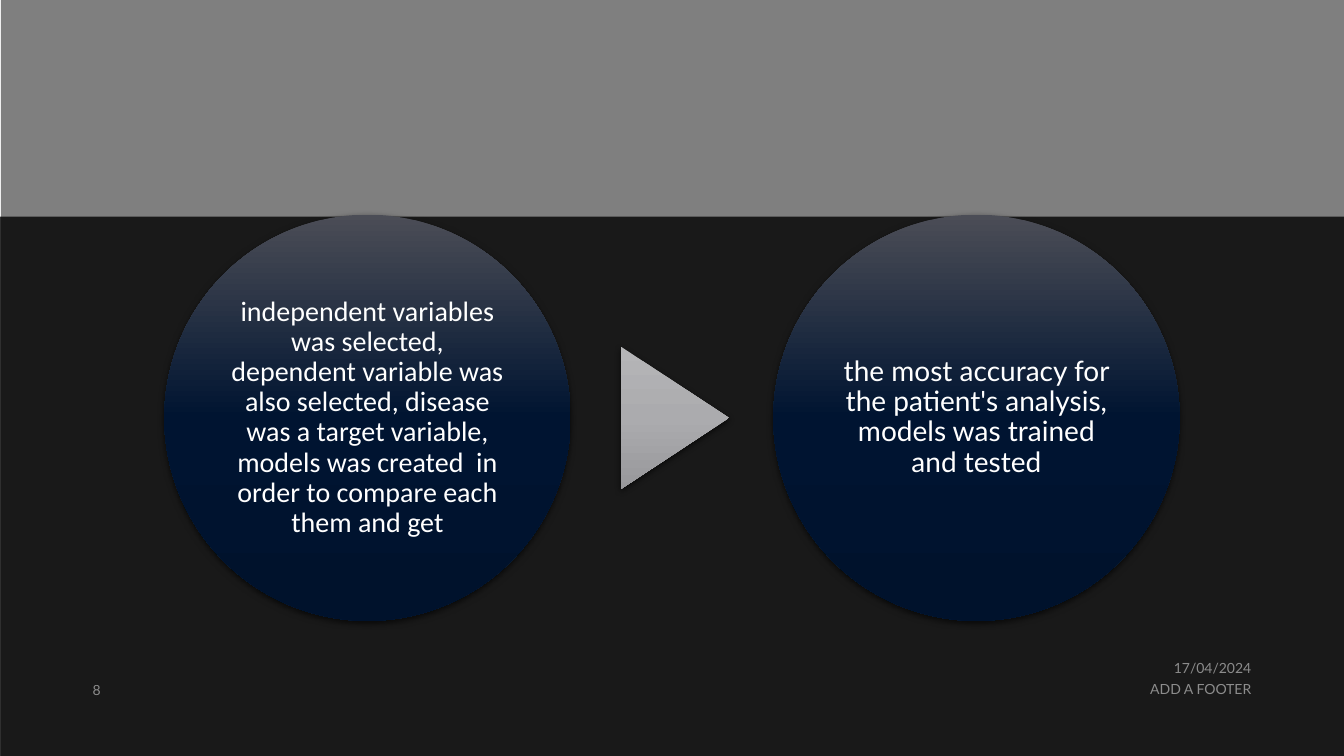
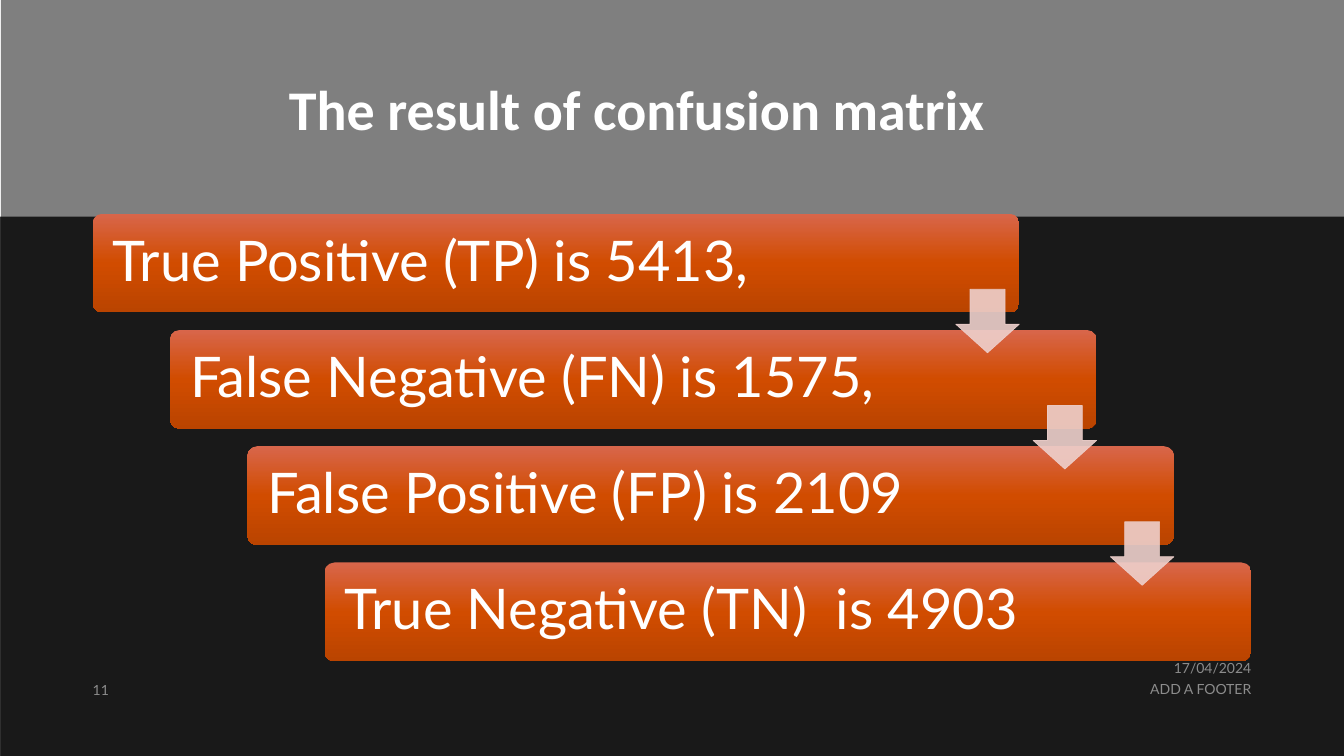
from dataclasses import dataclass

from lxml.etree import SubElement as Sub
from pptx import Presentation
from pptx.dml.color import RGBColor as Rgb
from pptx.enum.shapes import MSO_SHAPE as Kind
from pptx.enum.text import MSO_ANCHOR as Anchor, PP_ALIGN as Align
from pptx.oxml.ns import qn
from pptx.util import Inches, Pt

WIDE, HIGH = 13.33, 7.5
BAND = 2.15
BLACK, WHITE, GREY, PINK = "000000", "FFFFFF", "D9D9D9", "EED0CC"
NAVY = ("4B4D56", "001431", "00122C")
STEEL = ("B5B5B7", "ABABAE", "98989B")
RUST = ("D8664B", "D14C00", "BA4400")


@dataclass(frozen=True)
class Box:
    left: float
    top: float
    width: float
    height: float

    def sides(self) -> list:
        return [Inches(n) for n in (self.left, self.top, self.width, self.height)]


@dataclass(frozen=True)
class Style:
    size: float
    font: str = "Lato"
    hue: str = WHITE
    alpha: int = 100
    bold: bool = False
    align: Align = Align.LEFT
    anchor: Anchor = Anchor.TOP
    inset: float = 0
    lead: float = 0.9


@dataclass(frozen=True)
class Label:
    text: str
    box: Box
    style: Style


@dataclass(frozen=True)
class Disc:
    text: str
    left: float
    font: str


TITLE = Style(40, "Calibri", bold=True, align=Align.CENTER, anchor=Anchor.BOTTOM)
DATE = Style(10, hue=GREY, alpha=60, align=Align.RIGHT)
FOOT = Style(10, hue=GREY, alpha=60, align=Align.RIGHT, lead=1)
PAGE = Style(10, hue=GREY, alpha=60, anchor=Anchor.BOTTOM, lead=1)
STEP = Style(40, anchor=Anchor.MIDDLE, inset=0.17)

FEET = (
    Label("17/04/2024", Box(9.41, 6.56, 3, 0.16), DATE),
    Label("ADD A FOOTER", Box(7.91, 6.75, 4.5, 0.21), FOOT),
)
DISCS = (
    Disc(
        "independent variables was selected, dependent variable was also selected, "
        "disease was a target variable, models was created  in order to compare "
        "each them and get",
        1.63,
        "Calibri",
    ),
    Disc(
        "the most accuracy for the patient's analysis, models was trained and tested",
        7.67,
        "Lato",
    ),
)
STEPS = (
    "True Positive (TP) is 5413,",
    "False Negative (FN) is 1575,",
    "False Positive (FP) is 2109",
    "True Negative (TN)  is 4903",
)


def tint(fill, node, hue: str, alpha: int = 100) -> None:
    fill.solid()
    fill.fore_color.rgb = Rgb.from_string(hue)
    if alpha < 100:
        tone = node.find(qn("a:solidFill")).find(qn("a:srgbClr"))
        Sub(tone, qn("a:alpha"), val=str(alpha * 1000))


def blend(shape, hues: tuple) -> None:
    shape.fill.gradient()
    shape.fill.gradient_angle = 270
    grad = shape.element.spPr.find(qn("a:gradFill"))
    grad.set("rotWithShape", "0")
    stops = grad.find(qn("a:gsLst"))
    for stop in list(stops):
        stops.remove(stop)
    for place, hue in zip((0, 50, 100), hues):
        stop = Sub(stops, qn("a:gs"), pos=str(place * 1000))
        Sub(stop, qn("a:srgbClr"), val=hue)


def shade(shape) -> None:
    glow = Sub(
        shape.element.spPr.find(qn("a:effectLst")),
        qn("a:outerShdw"),
        blurRad=str(Pt(4.5)),
        dist=str(Pt(1.5)),
        dir="5400000",
        algn="ctr",
        rotWithShape="0",
    )
    tone = Sub(glow, qn("a:srgbClr"), val=BLACK)
    Sub(tone, qn("a:alpha"), val="63000")


def form(slide, kind: Kind, box: Box):
    shape = slide.shapes.add_shape(kind, *box.sides())
    shape.shadow.inherit = False
    shape.line.fill.background()
    return shape


def write(shape, text: str, style: Style) -> None:
    frame = shape.text_frame
    frame.word_wrap = True
    frame.vertical_anchor = style.anchor
    frame.margin_left = frame.margin_right = Inches(style.inset)
    frame.margin_top = frame.margin_bottom = Inches(style.inset)
    para = frame.paragraphs[0]
    para.alignment = style.align
    para.line_spacing = style.lead
    run = para.add_run()
    run.text = text
    run.font.size = Pt(style.size)
    run.font.name = style.font
    run.font.bold = style.bold
    tint(run.font.fill, run.font.fill and run._r.rPr, style.hue, style.alpha)


def put(slide, label: Label) -> None:
    write(slide.shapes.add_textbox(*label.box.sides()), label.text, label.style)


def start(deck, page: str):
    slide = deck.slides.add_slide(deck.slide_layouts[6])
    bands = (
        (Box(0.01, 0, WIDE - 0.01, HIGH), 50),
        (Box(0, BAND, WIDE, HIGH - BAND), 80),
    )
    for box, alpha in bands:
        band = form(slide, Kind.RECTANGLE, box)
        tint(band.fill, band.element.spPr, BLACK, alpha)
    for label in (*FEET, Label(page, Box(0.92, 6.73, 0.5, 0.2), PAGE)):
        put(slide, label)
    return slide


def models(deck) -> None:
    slide = start(deck, "8")
    for disc in DISCS:
        shape = form(slide, Kind.OVAL, Box(disc.left, 2.13, 4.03, 4.03))
        blend(shape, NAVY)
        shade(shape)
        style = Style(
            20, disc.font, align=Align.CENTER, anchor=Anchor.MIDDLE, inset=0.03
        )
        write(shape, disc.text, style)
    arrow = form(slide, Kind.ISOSCELES_TRIANGLE, Box(5.99, 3.61, 1.41, 1.07))
    arrow.rotation = 90
    blend(arrow, STEEL)
    shade(arrow)


def matrix(deck) -> None:
    slide = start(deck, "11")
    put(
        slide,
        Label("The result of confusion matrix", Box(0.98, 0.47, 10.67, 0.94), TITLE),
    )
    width, height, side = 9.19, 0.98, 0.63
    spots = [(0.92 + 2.3 / 3 * i, 2.12 + 3.46 / 3 * i) for i in range(len(STEPS))]
    for text, (left, top) in zip(STEPS, spots):
        step = form(slide, Kind.ROUNDED_RECTANGLE, Box(left, top, width, height))
        step.adjustments[0] = 0.1
        blend(step, RUST)
        write(step, text, STEP)
    for left, top in spots[:-1]:
        box = Box(left + width - side, top + 0.75, side, side)
        arrow = form(slide, Kind.DOWN_ARROW, box)
        arrow.adjustments[0] = 0.55
        arrow.adjustments[1] = 0.45
        tint(arrow.fill, arrow.element.spPr, PINK, 90)
        arrow.line.width = Pt(0.5)
        tint(arrow.line.fill, arrow.element.spPr.find(qn("a:ln")), PINK, 90)


def main() -> None:
    deck = Presentation()
    deck.slide_width = Inches(WIDE)
    deck.slide_height = Inches(HIGH)
    models(deck)
    matrix(deck)
    deck.save("out.pptx")


if __name__ == "__main__":
    main()
